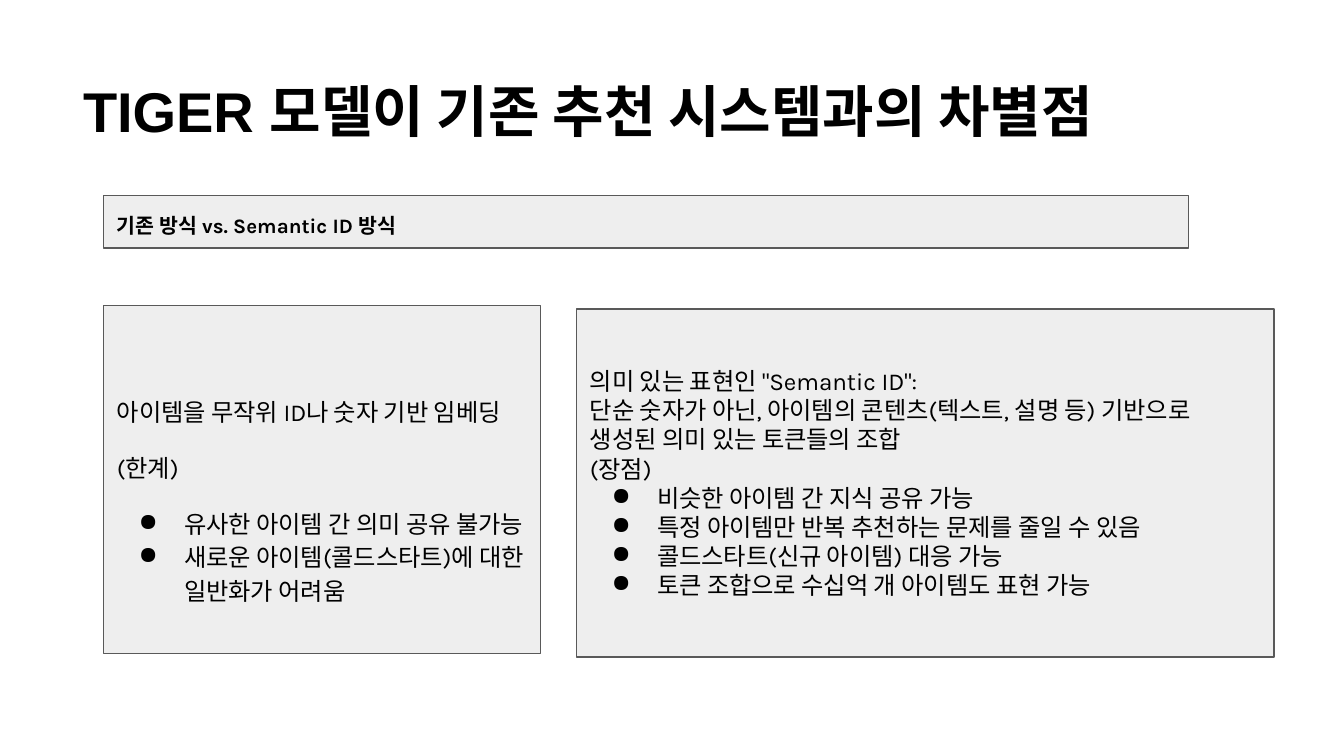
from lxml import etree
from pptx import Presentation
from pptx.dml.color import RGBColor
from pptx.enum.shapes import MSO_SHAPE
from pptx.enum.text import MSO_ANCHOR, MSO_AUTO_SIZE, PP_ALIGN
from pptx.oxml.ns import qn
from pptx.util import Cm, Pt

RECT = MSO_SHAPE.RECTANGLE
TOP, MIDDLE = MSO_ANCHOR.TOP, MSO_ANCHOR.MIDDLE
GROW, FIXED = MSO_AUTO_SIZE.SHAPE_TO_FIT_TEXT, MSO_AUTO_SIZE.NONE
LEFT = PP_ALIGN.LEFT

BLACK = RGBColor(0, 0, 0)
GRAY = RGBColor(0xEE, 0xEE, 0xEE)
EDGE = RGBColor(0x59, 0x59, 0x59)

INSET = Cm(0.25)
GAP = Pt(12)
TITLE_FONT = {"name": "Arial", "size": Pt(30), "bold": True}
HEAD_FONT = {"name": "Karla", "size": Pt(11), "bold": True}
BODY_FONT = {"name": "Karla", "size": Pt(13), "bold": False}
LOOSE = {"line_spacing": 1.15}
SPACED = {"line_spacing": 1.15, "space_before": GAP}

# Each line: text, bulleted or not, paragraph format
OLD_WAY = [
    ("아이템을 무작위 ID나 숫자 기반 임베딩", False, LOOSE),
    ("(한계)", False, SPACED),
    ("유사한 아이템 간 의미 공유 불가능", True, SPACED),
    ("새로운 아이템(콜드스타트)에 대한 일반화가 어려움", True, LOOSE),
]
NEW_WAY = [
    ('의미 있는 표현인 "Semantic ID":', False, {}),
    ("단순 숫자가 아닌, 아이템의 콘텐츠(텍스트, 설명 등) 기반으로 "
     "생성된 의미 있는 토큰들의 조합", False, {}),
    ("(장점)", False, {}),
    ("비슷한 아이템 간 지식 공유 가능", True, {}),
    ("특정 아이템만 반복 추천하는 문제를 줄일 수 있음", True, {}),
    ("콜드스타트(신규 아이템) 대응 가능", True, {}),
    ("토큰 조합으로 수십억 개 아이템도 표현 가능", True, {}),
]


def set_all(target, values):
    for name, value in values.items():
        setattr(target, name, value)


def add_bullet(para):
    props = para._p.get_or_add_pPr()
    props.set("marL", str(Cm(1.27)))
    props.set("indent", str(-Cm(0.86)))
    color = etree.SubElement(props, qn("a:buClr"))
    etree.SubElement(color, qn("a:srgbClr"), val=str(BLACK))
    etree.SubElement(props, qn("a:buChar"), char="●")


def write(shape, lines, font, anchor=TOP, size=GROW, top=INSET):
    frame = shape.text_frame
    set_all(frame, {
        "word_wrap": True, "auto_size": size, "vertical_anchor": anchor,
        "margin_left": INSET, "margin_right": INSET,
        "margin_top": top, "margin_bottom": INSET,
    })
    for i, (text, bullet, style) in enumerate(lines):
        para = frame.add_paragraph() if i else frame.paragraphs[0]
        para.text = text
        if bullet:
            add_bullet(para)
        set_all(para, {"alignment": LEFT, **style})
        set_all(para.font, font)
        para.font.color.rgb = BLACK


def add_panel(slide, left, top, width, height):
    panel = slide.shapes.add_shape(
        RECT, Cm(left), Cm(top), Cm(width), Cm(height))
    panel.shadow.inherit = False
    panel.fill.solid()
    panel.fill.fore_color.rgb = GRAY
    panel.line.color.rgb = EDGE
    panel.line.width = Pt(0.75)
    return panel


def main():
    deck = Presentation()
    deck.slide_width, deck.slide_height = Cm(25.4), Cm(14.29)
    slide = deck.slides.add_slide(deck.slide_layouts[6])

    title = slide.shapes.add_textbox(Cm(1.32), Cm(1.19), Cm(21.95), Cm(1.8))
    write(title, [("TIGER 모델이 기존 추천 시스템과의 차별점", False, {})],
          TITLE_FONT)

    head = add_panel(slide, 1.96, 3.7, 20.5, 0.99)
    write(head, [("기존 방식 vs. Semantic ID 방식", False, LOOSE)], HEAD_FONT)

    old = add_panel(slide, 1.96, 5.77, 8.26, 6.58)
    write(old, OLD_WAY, BODY_FONT, MIDDLE, FIXED, Cm(1))

    new = add_panel(slide, 10.9, 5.84, 13.18, 6.58)
    write(new, NEW_WAY, BODY_FONT, MIDDLE, FIXED)

    deck.save("out.pptx")


if __name__ == "__main__":
    main()
